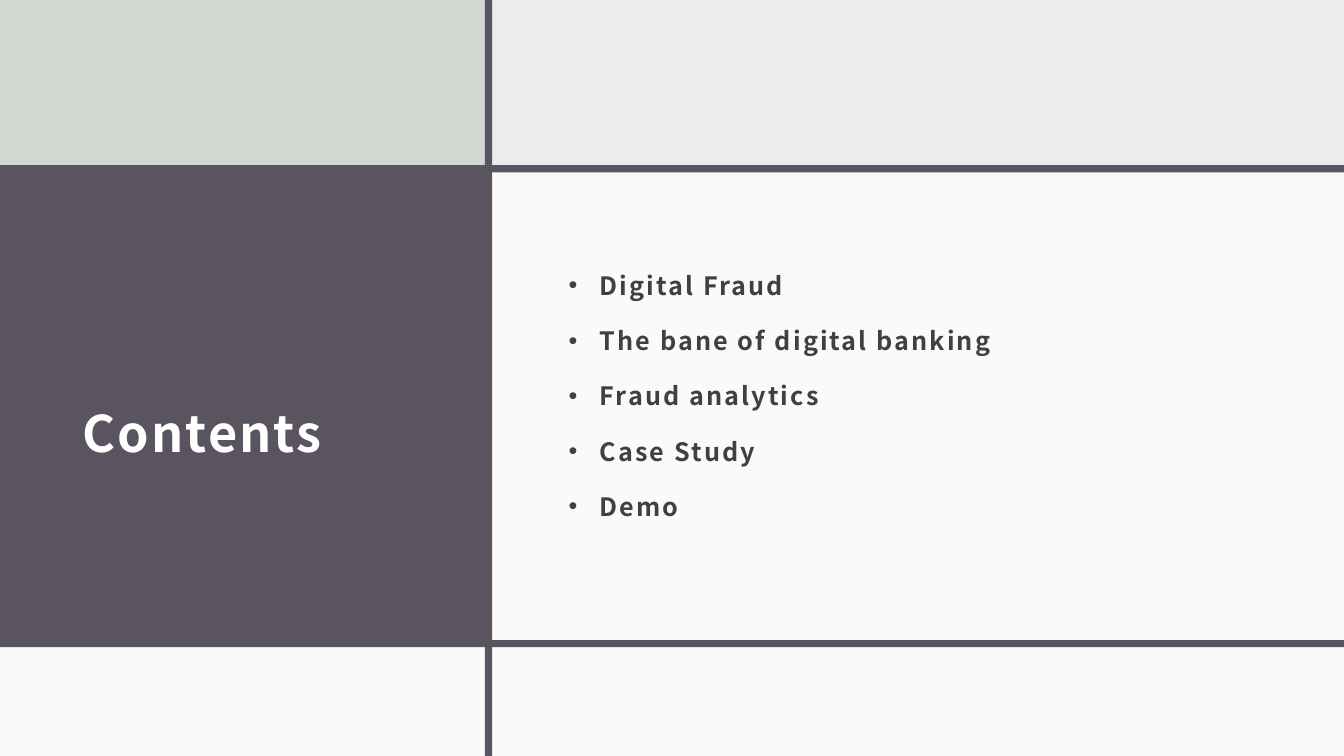
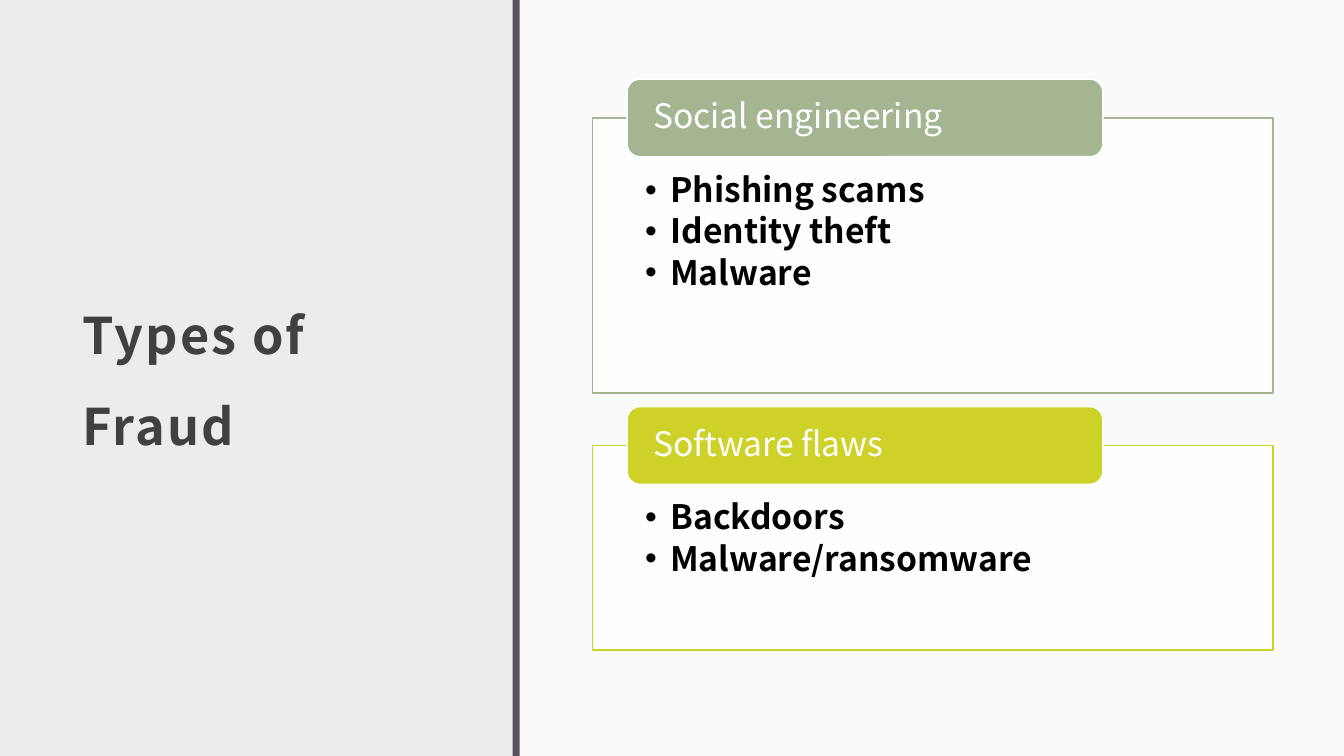
from lxml.etree import SubElement
from pptx import Presentation
from pptx.dml.color import RGBColor
from pptx.enum.shapes import MSO_SHAPE as Preset
from pptx.enum.text import MSO_ANCHOR as Anchor, PP_ALIGN as Align
from pptx.oxml.ns import qn
from pptx.util import Emu, Inches, Pt

WIDTH, HEIGHT = Inches(13.33), Inches(7.5)
RULE = Inches(0.07)
FONT = "Noto Sans CJK JP"
COLORS = {
    "backdrop": "EBEDEB",
    "plum": "595460",
    "mist": "D2D7D2",
    "white": "FFFFFF",
    "charcoal": "404040",
    "black": "000000",
    "sage": "A5B592",
    "lime": "CED228",
}
TITLE_LEFT, TITLE_WIDTH = 5.25, 28
TEXT_INSETS = (0.12, 0.12, 0.12, 0.1)

CONTENTS = ["Digital Fraud", "The bane of digital banking", "Fraud analytics",
            "Case Study", "Demo"]
FRAUD_TYPES = [
    ("Social engineering", "sage", 36.4,
     ["Phishing scams", "Identity theft", "Malware"]),
    ("Software flaws", "lime", 27.07, ["Backdoors", "Malware/ransomware"]),
]


def across(percent):
    return Emu(round(WIDTH * percent / 100))


def down(percent):
    return Emu(round(HEIGHT * percent / 100))


def area(left, top, width, height):
    return across(left), down(top), across(width), down(height)


def rgb(color):
    return RGBColor.from_string(COLORS[color])


def add_panel(slide, bounds, color, opacity=100, outline=None, preset=Preset.RECTANGLE):
    panel = slide.shapes.add_shape(preset, *bounds)
    panel.shadow.inherit = False
    panel.fill.solid()
    panel.fill.fore_color.rgb = rgb(color)
    if opacity < 100:
        tint = panel.fill._xPr.find(qn("a:solidFill")).find(qn("a:srgbClr"))
        SubElement(tint, qn("a:alpha"), val=str(opacity * 1000))
    if outline:
        panel.line.color.rgb = rgb(outline)
        panel.line.width = Pt(1)
    else:
        panel.line.fill.background()
    return panel


def add_vertical_rule(slide, center):
    add_panel(slide, (across(center) - RULE // 2, 0, RULE, HEIGHT), "plum")


def add_horizontal_rule(slide, center):
    add_panel(slide, (0, down(center) - RULE // 2, WIDTH, RULE), "plum")


def write(holder, lines, size, color, bold=True, spacing=1.0, before=0, after=0,
          tracking=0, indent=0, insets=TEXT_INSETS, anchor=Anchor.MIDDLE):
    frame = holder.text_frame
    frame.word_wrap = True
    frame.vertical_anchor = anchor
    (frame.margin_left, frame.margin_top,
     frame.margin_right, frame.margin_bottom) = map(Inches, insets)
    frame.text = "\n".join(lines)
    for paragraph in frame.paragraphs:
        paragraph.alignment = Align.LEFT
        paragraph.line_spacing = spacing
        paragraph.space_before, paragraph.space_after = Pt(before), Pt(after)
        font = paragraph.font
        font.name, font.size, font.bold = FONT, Pt(size), bold
        font.color.rgb = rgb(color)
        properties = paragraph._p.get_or_add_pPr()
        defaults = properties.find(qn("a:defRPr"))
        if tracking:
            defaults.set("spc", str(round(tracking * 100)))
        if indent:
            properties.set("marL", str(Inches(indent)))
            properties.set("indent", str(-Inches(indent)))
            bullet_font = properties.makeelement(qn("a:buFont"), typeface="Arial")
            bullet = properties.makeelement(qn("a:buChar"), char="•")
            defaults.addprevious(bullet_font)
            defaults.addprevious(bullet)


def add_title(slide, words, top, height, color):
    title = slide.shapes.add_textbox(*area(TITLE_LEFT, top, TITLE_WIDTH, height))
    write(title, [words], 36, color, spacing=1.5, tracking=1.5)


def add_card(slide, heading, color, top, height, items):
    card = add_panel(slide, area(44.1, top, 50.63, height), "white", 90, color)
    write(card, items, 24, "black", spacing=0.9, after=3.6, indent=0.25,
          insets=(0.52, 0.55, 0.52, 0.19), anchor=Anchor.TOP)
    tab_height = 10.27
    tab = add_panel(slide, area(46.66, top - tab_height / 2, 35.4, tab_height),
                    color, outline="white", preset=Preset.ROUNDED_RECTANGLE)
    write(tab, [heading], 24, "white", bold=False, spacing=0.9,
          insets=(0.22, 0, 0.22, 0))


def new_slide(deck):
    slide = deck.slides.add_slide(deck.slide_layouts[6])
    slide.background.fill.solid()
    slide.background.fill.fore_color.rgb = rgb("backdrop")
    return slide


def build_contents(deck):
    slide = new_slide(deck)
    split, upper, lower = 36.35, 22.33, 85.13
    add_panel(slide, area(0, upper, split, lower - upper), "plum")
    add_panel(slide, area(0, 0, split, upper), "mist")
    add_panel(slide, area(split, upper, 100 - split, lower - upper), "white", 75)
    add_panel(slide, area(0, lower, 100, 100 - lower), "white", 75)
    for center in (upper, lower):
        add_horizontal_rule(slide, center)
    add_vertical_rule(slide, split)
    add_title(slide, "Contents", 28.53, 53.07, "white")
    topics = slide.shapes.add_textbox(*area(41.4, 32.4, 52.73, 38))
    write(topics, CONTENTS, 18, "charcoal", spacing=1.4, before=9.3,
          tracking=1.5, indent=0.31)


def build_fraud_types(deck):
    slide = new_slide(deck)
    split, top, gap = 38.4, 15.6, 6.93
    add_panel(slide, area(split, 0, 100 - split, 100), "white", 75)
    add_vertical_rule(slide, split)
    add_title(slide, "Types of Fraud", 10.27, 75.73, "charcoal")
    for heading, color, height, items in FRAUD_TYPES:
        add_card(slide, heading, color, top, height, items)
        top += height + gap


def main():
    deck = Presentation()
    deck.slide_width, deck.slide_height = WIDTH, HEIGHT
    build_contents(deck)
    build_fraud_types(deck)
    deck.save("out.pptx")


if __name__ == "__main__":
    main()
